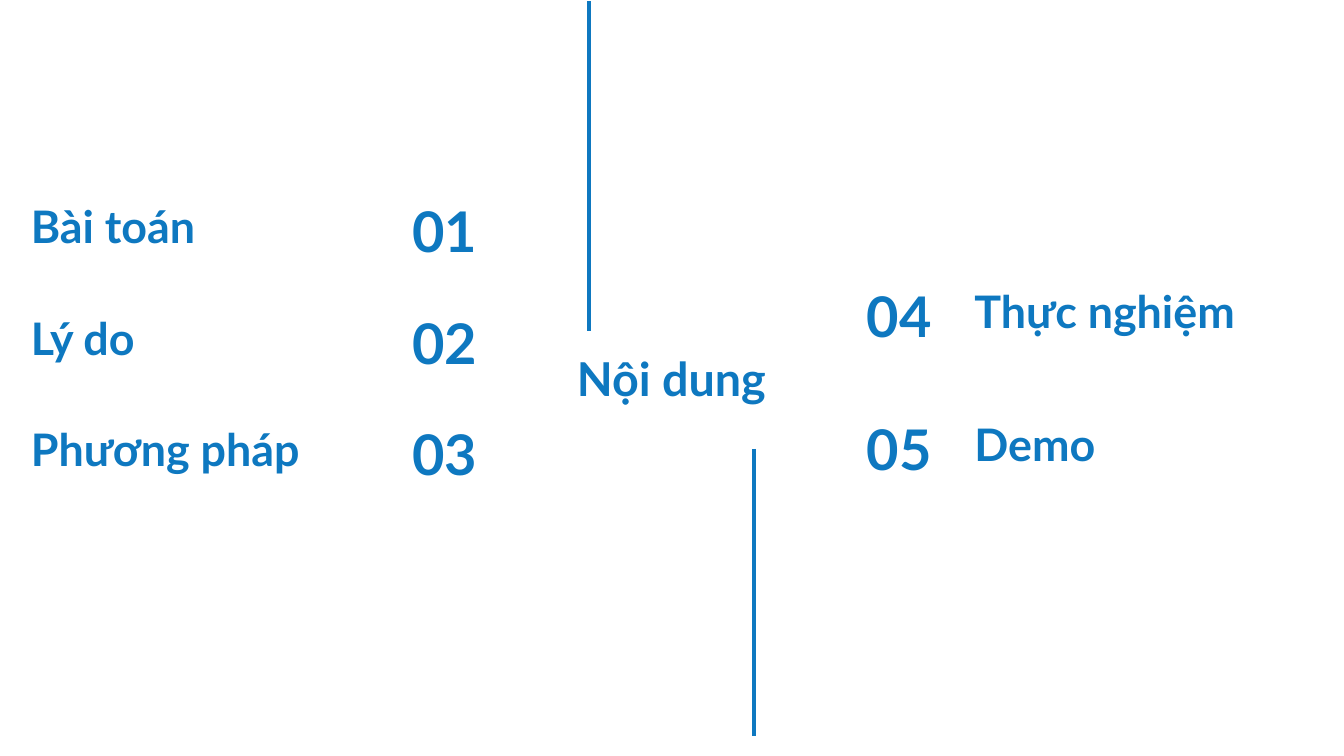
"""Build the agenda slide with a central title and two numbered columns."""
from pptx import Presentation, util as u
from pptx.dml.color import RGBColor
from pptx.enum import shapes, text
from pptx.oxml import parse_xml
from pptx.oxml.ns import nsdecls

THEME = {"font": "Lato", "blue": RGBColor.from_string("0E78C0"),
         "title": 25, "label": 24, "num": 30, "rule": 2.25}
TITLE = "Nội dung"
ROW = 0.47
LEFT, RIGHT = text.PP_ALIGN.LEFT, text.PP_ALIGN.RIGHT
MID, LOW = text.MSO_ANCHOR.MIDDLE, text.MSO_ANCHOR.BOTTOM
COLUMNS = [
    {"items": ["Bài toán", "Lý do", "Phương pháp"], "first": 1,
     "top": 1.48, "step": 0.83, "label": (0.16, 3.37),
     "num": (2.41, 1.21), "align": RIGHT},
    {"items": ["Thực nghiệm", "Demo"], "first": 4,
     "top": 2.11, "step": 0.99, "label": (7.18, 2.71),
     "num": (6.38, 1.17), "align": LEFT},
]
RULES = [(4.38, 0.01, 2.46), (5.61, 3.34, 5.48)]


def put(slide, words, box, size, align=LEFT, anchor=MID, shape=None):
    place = [u.Inches(n) for n in box]
    if shape is None:
        shape = slide.shapes.add_textbox(*place)
    shape.left, shape.top, shape.width, shape.height = place
    frame = shape.text_frame
    frame.word_wrap = True
    frame.auto_size = text.MSO_AUTO_SIZE.NONE
    frame.vertical_anchor = anchor
    frame.margin_left = frame.margin_right = u.Inches(0.07)
    frame.margin_top = frame.margin_bottom = u.Inches(0.07)
    para = frame.paragraphs[0]
    para.alignment = align
    run = para.add_run()
    run.text = words
    font = run.font
    font.name, font.size, font.bold = THEME["font"], u.Pt(THEME[size]), True
    font.color.rgb = THEME["blue"]


def rule(slide, x, top, end):
    line = slide.shapes.add_connector(
        shapes.MSO_CONNECTOR.STRAIGHT,
        u.Inches(x), u.Inches(top), u.Inches(x), u.Inches(end))
    line.line.color.rgb = THEME["blue"]
    line.line.width = u.Pt(THEME["rule"])
    line._element.spPr.append(parse_xml(f"<a:effectLst {nsdecls('a')}/>"))


def main():
    deck = Presentation()
    deck.slide_width = u.Inches(10)
    deck.slide_height = deck.slide_width * 9 // 16
    slide = deck.slides.add_slide(deck.slide_layouts[5])
    put(slide, TITLE, (3.7, 2.42, 2.59, 0.78), "title",
        align=text.PP_ALIGN.CENTER, shape=slide.shapes.title)
    for col in COLUMNS:
        for i, item in enumerate(col["items"]):
            top = col["top"] + i * col["step"]
            for key, words, align, anchor in (
                    ("label", item, LEFT, LOW),
                    ("num", f"{col['first'] + i:02}", col["align"], MID)):
                x, wide = col[key]
                put(slide, words, (x, top, wide, ROW), key, align, anchor)
    for spot in RULES:
        rule(slide, *spot)
    deck.save("out.pptx")


if __name__ == "__main__":
    main()
